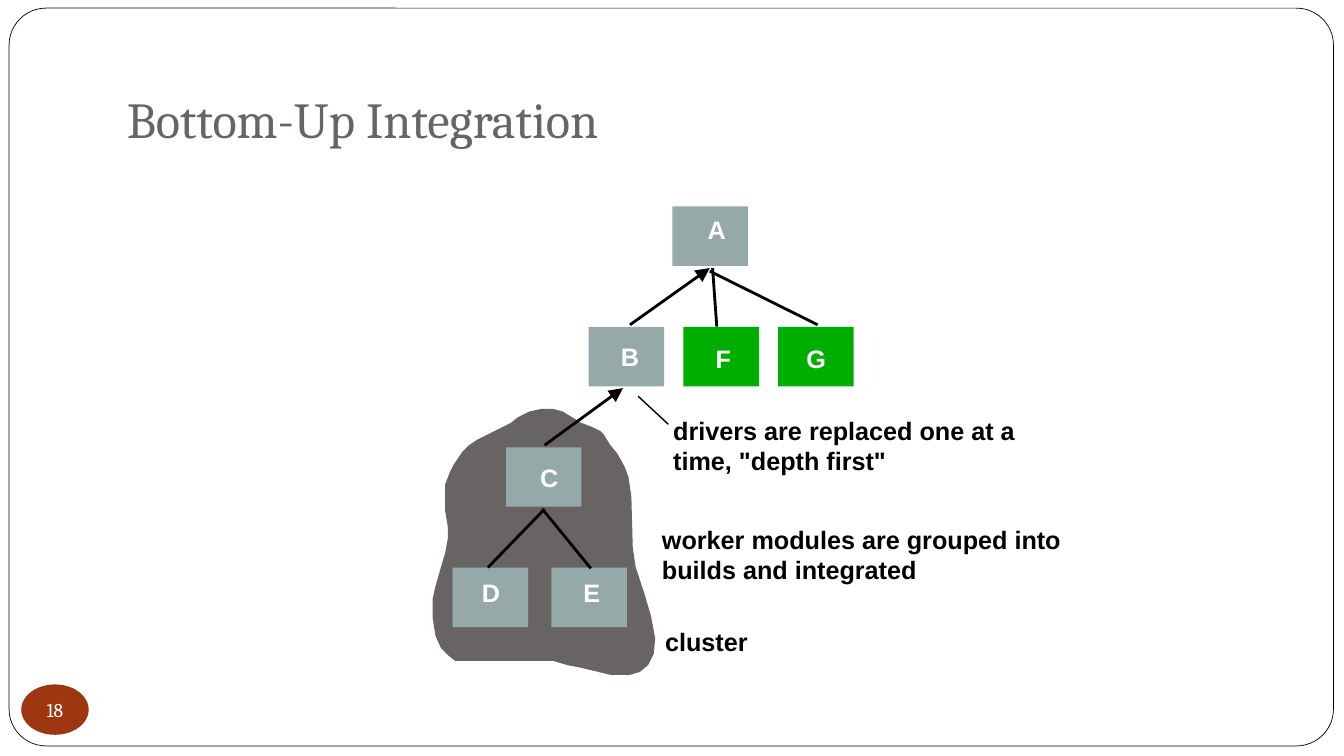
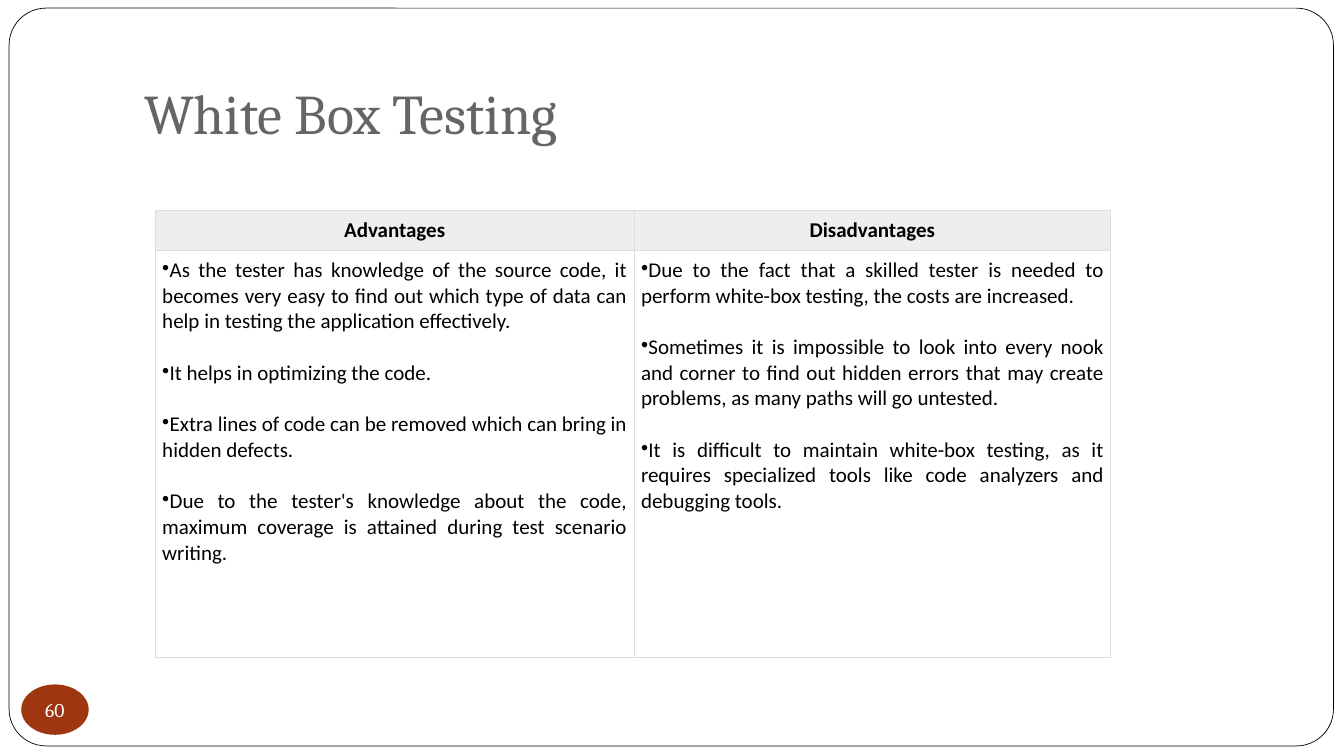
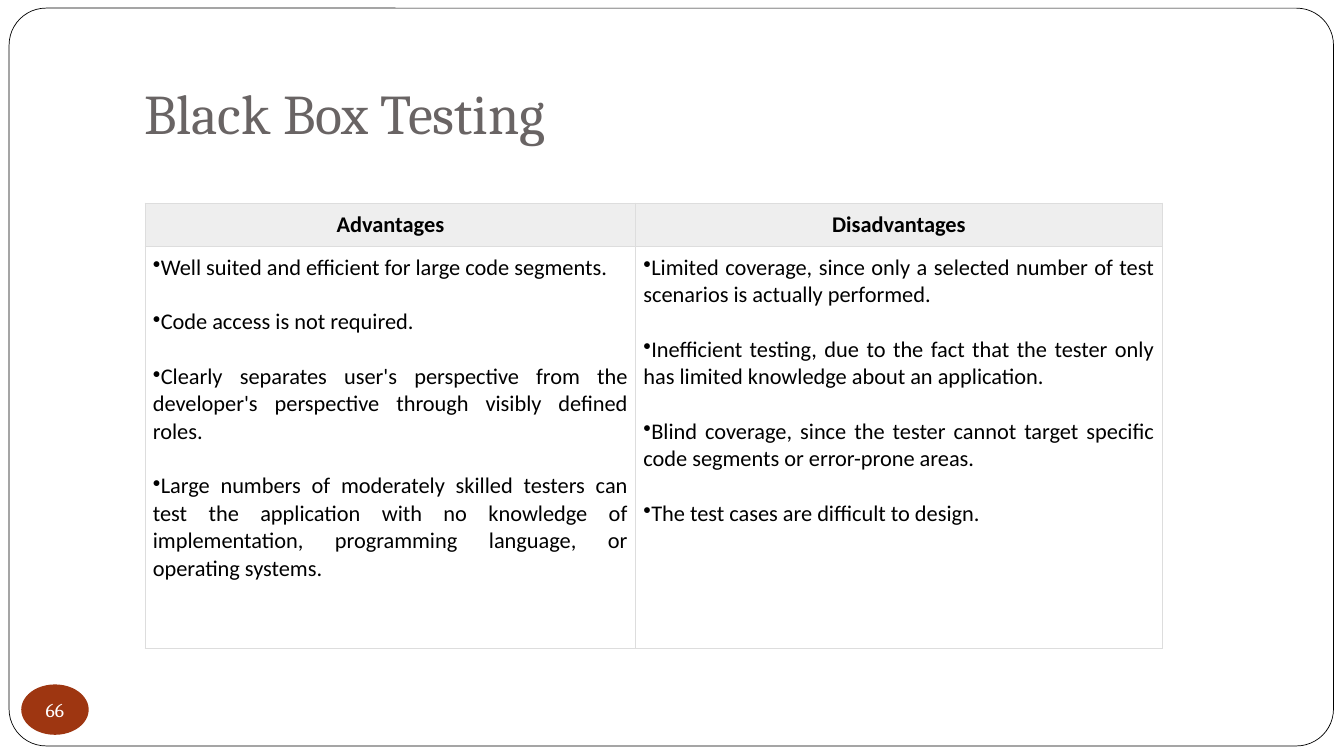
from dataclasses import dataclass
from itertools import product

from lxml import etree
from pptx import Presentation
from pptx.dml.color import RGBColor
from pptx.enum.shapes import MSO_CONNECTOR, MSO_SHAPE
from pptx.enum.text import MSO_ANCHOR, PP_ALIGN
from pptx.oxml.ns import qn
from pptx.util import Pt

LEFT, CENTER, JUSTIFY = PP_ALIGN.LEFT, PP_ALIGN.CENTER, PP_ALIGN.JUSTIFY
TOP, MIDDLE, BOTTOM = MSO_ANCHOR.TOP, MSO_ANCHOR.MIDDLE, MSO_ANCHOR.BOTTOM
STRAIGHT = MSO_CONNECTOR.STRAIGHT
RECT, OVAL, ROUND = MSO_SHAPE.RECTANGLE, MSO_SHAPE.OVAL, MSO_SHAPE.ROUNDED_RECTANGLE


@dataclass(frozen=True)
class Theme:
    # Colours
    ink: str = "000000"
    paper: str = "FFFFFF"
    gray: str = "696464"
    rust: str = "9E3611"
    module: str = "96A9A9"
    driver: str = "00AE00"
    header: str = "EEEEEE"
    border: str = "DDDDDD"
    # Fonts
    heading: str = "Cambria"
    table: str = "Calibri"
    diagram: str = "Arial"
    # Type sizes
    title_size: int = 40
    small_title_size: int = 36
    diagram_size: int = 18
    number_size: int = 14
    # Spacing
    line_height: float = 1.22
    box_insets: tuple = (7.2, 3.6, 7.2, 3.6)


def set_all(target, values):
    for name, value in values.items():
        setattr(target, name, value)


def points(*lengths):
    return [Pt(length) for length in lengths]


def margins(insets):
    sides = ("left", "top", "right", "bottom")
    return {f"margin_{side}": Pt(inset) for side, inset in zip(sides, insets)}


class Deck:
    def __init__(self, theme):
        self.theme = theme
        self.prs = Presentation()
        set_all(self.prs, {"slide_width": Pt(960), "slide_height": Pt(540)})
        self.slide = None

    def new_slide(self, number):
        """Start a slide with the shared frame and number badge."""
        t = self.theme
        self.slide = self.prs.slides.add_slide(self.prs.slide_layouts[6])
        frame = self.shape(ROUND, (6.5, 5.8, 946, 527), t.paper, outline=t.ink)
        frame.adjustments[0] = 0.05
        badge = self.shape(OVAL, (15.2, 488.9, 48.2, 36), t.rust)
        self.set_text(badge.text_frame, number, t.heading, t.number_size, t.paper,
                      align=CENTER, anchor=MIDDLE, insets=(0, 0, 0, 0))

    def set_text(self, frame, text, font, size, color, bold=False, align=LEFT,
                 anchor=TOP, insets=None):
        set_all(frame, {"word_wrap": True, "vertical_anchor": anchor,
                        **margins(insets or self.theme.box_insets)})
        self.paragraph(frame.paragraphs[0], text, font, size, color, bold, align)

    def paragraph(self, para, text, font, size, color, bold, align):
        para.alignment = align
        run = para.add_run()
        run.text = text
        set_all(run.font, {"name": font, "size": Pt(size), "bold": bold})
        run.font.color.rgb = RGBColor.from_string(color)

    def paint(self, shape, fill, outline=None):
        shape.shadow.inherit = False
        shape.fill.solid()
        shape.fill.fore_color.rgb = RGBColor.from_string(fill)
        if outline:
            shape.line.color.rgb = RGBColor.from_string(outline)
            shape.line.width = Pt(0.5)
        else:
            shape.line.fill.background()
        return shape

    def shape(self, kind, box, fill, outline=None):
        shape = self.slide.shapes.add_shape(kind, *points(*box))
        return self.paint(shape, fill, outline)

    def outline_shape(self, vertices, fill):
        builder = self.slide.shapes.build_freeform(*vertices[0], scale=Pt(1))
        builder.add_line_segments(vertices[1:], close=True)
        return self.paint(builder.convert_to_shape(), fill)

    def text(self, box, text, font, size, color, **options):
        textbox = self.slide.shapes.add_textbox(*points(*box))
        self.set_text(textbox.text_frame, text, font, size, color, **options)

    def title(self, text):
        t = self.theme
        self.text((95.8, 21.6, 816, 90), text, t.heading, t.title_size, t.gray,
                  anchor=BOTTOM, insets=(7.2, 3.6, 7.2, 7.2))

    def small_title(self, text):
        t = self.theme
        self.text((83.5, 64.8, 529, 39.6), text, t.heading, t.small_title_size,
                  t.gray, anchor=MIDDLE)

    def note(self, box, text):
        t = self.theme
        self.text(box, text, t.diagram, t.diagram_size, t.ink, bold=True)

    def module(self, letter, corner, letter_offset, fill):
        t = self.theme
        box = self.shape(RECT, (*corner, 54, 42.5), fill)
        self.set_text(box.text_frame, letter, t.diagram, t.diagram_size, t.paper,
                      bold=True, insets=(*letter_offset, 0, 0))

    def line(self, start, end, width=2, arrow=False):
        link = self.slide.shapes.add_connector(STRAIGHT, *points(*start, *end))
        link.line.color.rgb = RGBColor.from_string(self.theme.ink)
        link.line.width = Pt(width)
        if arrow:
            etree.SubElement(link.get_or_add_ln(), qn("a:tailEnd"),
                             type="triangle", w="lg", len="lg")
        etree.SubElement(link._element.spPr, qn("a:effectLst"))

    def cell(self, cell, fill, inset):
        """Give a cell its margins, thin borders and fill."""
        set_all(cell, margins([inset] * 4))
        props = cell._tc.get_or_add_tcPr()
        for side in ("lnL", "lnR", "lnT", "lnB"):
            edge = etree.SubElement(props, qn(f"a:{side}"), w=str(Pt(0.75)))
            solid = etree.SubElement(edge, qn("a:solidFill"))
            etree.SubElement(solid, qn("a:srgbClr"), val=self.theme.border)
        cell.fill.solid()
        cell.fill.fore_color.rgb = RGBColor.from_string(fill)

    def comparison(self, corner, widths, heights, size, inset, columns):
        """Draw a table with a heading and a bullet list in each column."""
        t = self.theme
        table = self.slide.shapes.add_table(
            2, len(columns), *points(*corner, sum(widths), sum(heights))).table
        table.horz_banding = False
        for column, width in zip(table.columns, widths):
            column.width = Pt(width)
        for row, height in zip(table.rows, heights):
            row.height = Pt(height)
        for row, col in product(range(2), range(len(columns))):
            self.cell(table.cell(row, col), (t.header, t.paper)[row], inset)
        for col, (heading, bullets) in enumerate(columns.items()):
            self.paragraph(table.cell(0, col).text_frame.paragraphs[0], heading,
                           t.table, size, t.ink, True, CENTER)
            body = table.cell(1, col).text_frame
            for index, bullet in enumerate(bullets):
                para = body.add_paragraph() if index else body.paragraphs[0]
                self.paragraph(para, bullet, t.table, size, t.ink, False, JUSTIFY)
                if index:
                    para.space_before = Pt(round(size * t.line_height, 1))
                props = para._p.get_or_add_pPr()
                for name in ("marL", "indent"):
                    props.set(name, "0")
                etree.SubElement(props, qn("a:buChar"), char="•")


CLUSTER = [
    (429, 308), (423, 305), (415, 302), (407, 297), (402, 294), (395, 292),
    (387, 292), (378, 294), (370, 298), (365, 302), (353, 308), (341, 314),
    (335, 318), (330, 323), (324, 332), (321, 338), (318, 346), (318, 365),
    (320, 377), (320, 384), (318, 395), (315, 405), (311, 419), (309, 428),
    (309, 441), (311, 454), (315, 463), (320, 468), (325, 472), (332, 472),
    (395, 472), (405, 475), (415, 477), (436, 482), (450, 482), (457, 480),
    (463, 475), (467, 467), (468, 456), (465, 440), (460, 423), (454, 405),
    (452, 391), (451, 355), (449, 341), (446, 333), (441, 324), (436, 318),
    (431, 310),
]


def bottom_up(deck):
    t = deck.theme
    deck.new_slide("18")
    deck.small_title("Bottom-Up Integration")
    deck.outline_shape(CLUSTER, t.gray)

    # Modules: letter, level, left edge, offset of the letter, fill
    first_level, level_pitch = 147.5, 86
    for letter, level, left, offset, fill in (
        ("A", 0, 480.2, (25.2, 5.8), t.module),
        ("B", 1, 420.5, (23, 10), t.module),
        ("C", 2, 361.4, (24.5, 10.8), t.module),
        ("D", 3, 323.3, (20.9, 7.2), t.module),
        ("E", 3, 393.8, (23, 7.2), t.module),
        ("F", 1, 488.2, (23, 11.5), t.driver),
        ("G", 1, 555.8, (20.2, 11.5), t.driver),
    ):
        top = first_level + level * level_pitch
        deck.module(letter, (left, top), offset, fill)

    # Links between modules
    deck.line((450, 232), (507, 191.5), arrow=True)
    deck.line((389, 318), (445, 277.2), arrow=True)
    deck.line((389, 363.6), (348.5, 405.4))
    deck.line((387.4, 363.6), (422, 406))
    deck.line((509, 191.5), (512, 233.3))
    deck.line((507, 193.7), (584, 232))

    # Notes and their leader
    deck.note((473.8, 293, 263.5, 49), 'drivers are replaced one at a time, "depth first"')
    deck.note((465.8, 370.8, 304.6, 49), "worker modules are grouped into builds and integrated")
    deck.note((468, 444.2, 80, 28.8), "cluster")
    deck.line((455.8, 283), (477.4, 303.1), width=1)


def white_box(deck):
    deck.new_slide("60")
    deck.title("White Box Testing")
    deck.comparison((110.9, 150.5), (342, 340.6), (28.4, 290.9), 15, 5, {
        "Advantages": (
            "As the tester has knowledge of the source code, it becomes very easy to "
            "find out which type of data can help in testing the application effectively.",
            "It helps in optimizing the code.",
            "Extra lines of code can be removed which can bring in hidden defects.",
            "Due to the tester's knowledge about the code, maximum coverage is attained "
            "during test scenario writing.",
        ),
        "Disadvantages": (
            "Due to the fact that a skilled tester is needed to perform white-box "
            "testing, the costs are increased.",
            "Sometimes it is impossible to look into every nook and corner to find out "
            "hidden errors that may create problems, as many paths will go untested.",
            "It is difficult to maintain white-box testing, as it requires specialized "
            "tools like code analyzers and debugging tools.",
        ),
    })


def black_box(deck):
    deck.new_slide("66")
    deck.title("Black Box Testing")
    deck.comparison((103.7, 145), (350.4, 376), (30.8, 287.3), 16, 5.5, {
        "Advantages": (
            "Well suited and efficient for large code segments.",
            "Code access is not required.",
            "Clearly separates user's perspective from the developer's perspective "
            "through visibly defined roles.",
            "Large numbers of moderately skilled testers can test the application with "
            "no knowledge of implementation, programming language, or operating systems.",
        ),
        "Disadvantages": (
            "Limited coverage, since only a selected number of test scenarios is "
            "actually performed.",
            "Inefficient testing, due to the fact that the tester only has limited "
            "knowledge about an application.",
            "Blind coverage, since the tester cannot target specific code segments or "
            "error-prone areas.",
            "The test cases are difficult to design.",
        ),
    })


def main():
    deck = Deck(Theme())
    for build in (bottom_up, white_box, black_box):
        build(deck)
    deck.prs.save("out.pptx")


if __name__ == "__main__":
    main()
